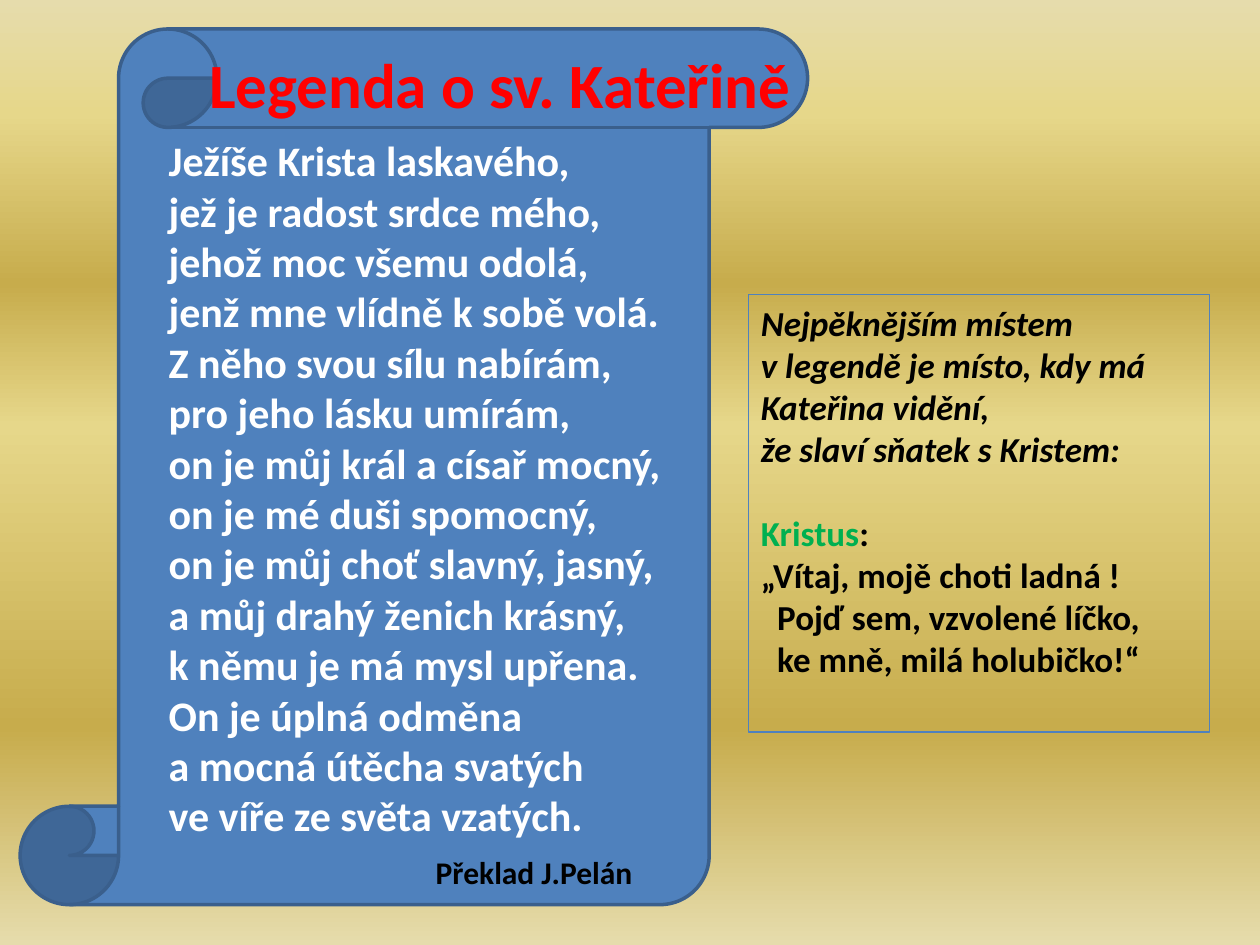
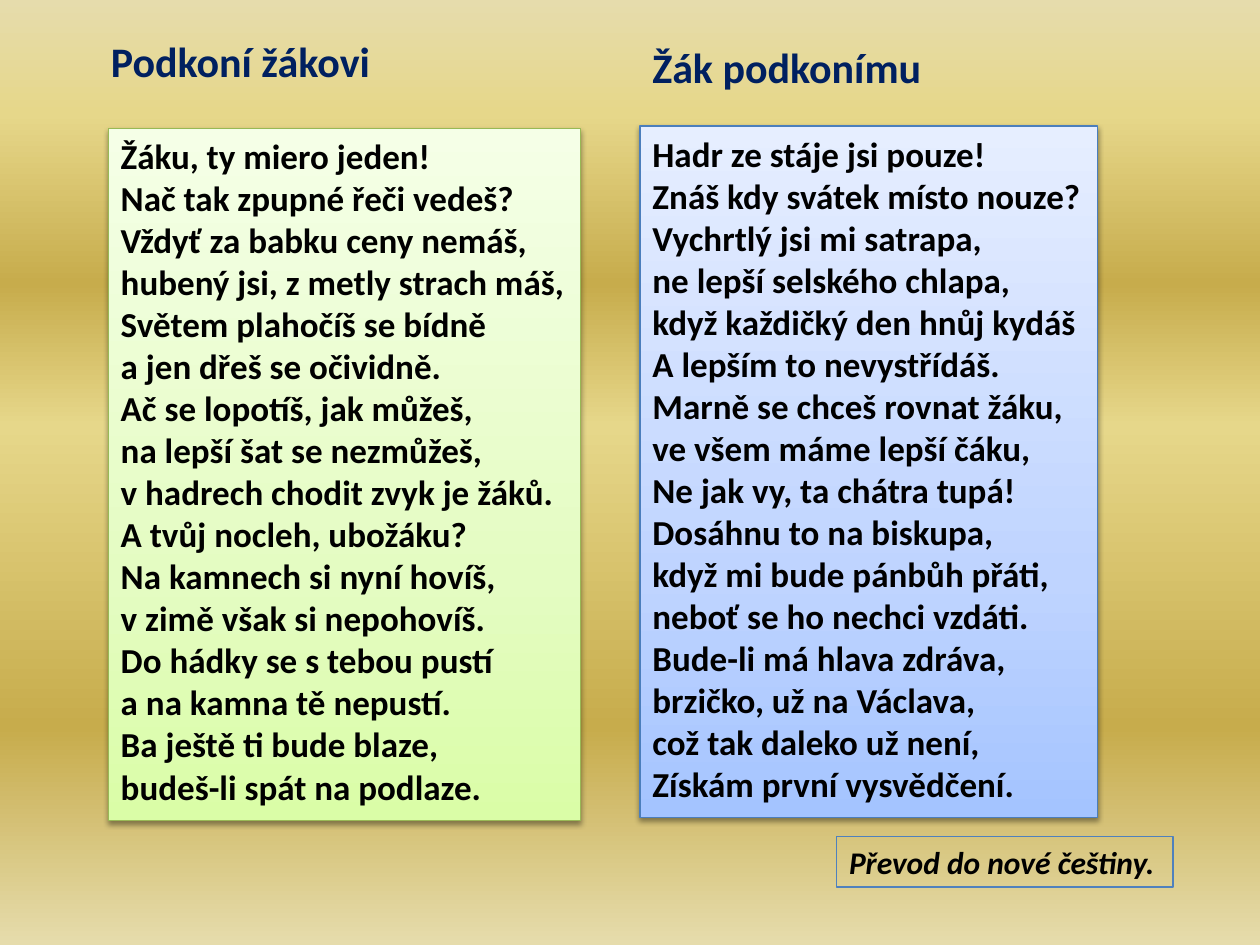
from lxml.etree import SubElement
from pptx import Presentation
from pptx.dml.color import RGBColor
from pptx.enum.shapes import MSO_SHAPE as Kind
from pptx.enum.text import MSO_ANCHOR as Anchor, MSO_AUTO_SIZE as Fit, PP_ALIGN as Align
from pptx.oxml.ns import qn
from pptx.util import Inches, Pt

# Content
LEGEND = "Legenda o sv. Kateřině"
PRAYER = [
    "Ježíše Krista laskavého,",
    "jež je radost srdce mého,",
    "jehož moc všemu odolá,",
    "jenž mne vlídně k sobě volá.",
    "Z něho svou sílu nabírám,",
    "pro jeho lásku umírám,",
    "on je můj král a císař mocný,",
    "on je mé duši spomocný,",
    "on je můj choť slavný, jasný,",
    "a můj drahý ženich krásný,",
    "k němu je má mysl upřena.",
    "On je úplná odměna",
    "a mocná útěcha svatých",
    "ve víře ze světa vzatých.",
]
INTRO = [
    "Nejpěknějším místem",
    "v legendě je místo, kdy má Kateřina vidění,",
    "že slaví sňatek s Kristem:",
]
SPEAKER = "Kristus"
SPEECH = [
    "„Vítaj, mojě choti ladná !",
    "Pojď sem, vzvolené líčko,",
    "ke mně, milá holubičko!“",
]
CREDIT = "Překlad J.Pelán"
GROOM = [
    "Žáku, ty miero jeden!",
    "Nač tak zpupné řeči vedeš?",
    "Vždyť za babku ceny nemáš,",
    "hubený jsi, z metly strach máš,",
    "Světem plahočíš se bídně",
    "a jen dřeš se očividně.",
    "Ač se lopotíš, jak můžeš,",
    "na lepší šat se nezmůžeš,",
    "v hadrech chodit zvyk je žáků.",
    "A tvůj nocleh, ubožáku?",
    "Na kamnech si nyní hovíš,",
    "v zimě však si nepohovíš.",
    "Do hádky se s tebou pustí",
    "a na kamna tě nepustí.",
    "Ba ještě ti bude blaze,",
    "budeš-li spát na podlaze.",
]
PUPIL = [
    "Hadr ze stáje jsi pouze!",
    "Znáš kdy svátek místo nouze?",
    "Vychrtlý jsi mi satrapa,",
    "ne lepší selského chlapa,",
    "když každičký den hnůj kydáš",
    "A lepším to nevystřídáš.",
    "Marně se chceš rovnat žáku,",
    "ve všem máme lepší čáku,",
    "Ne jak vy, ta chátra tupá!",
    "Dosáhnu to na biskupa,",
    "když mi bude pánbůh přáti,",
    "neboť se ho nechci vzdáti.",
    "Bude-li má hlava zdráva,",
    "brzičko, už na Václava,",
    "což tak daleko už není,",
    "Získám první vysvědčení.",
]
NOTE = "Převod do nové češtiny."

# Shared look
FONT = "Calibri"
BLACK, WHITE, RED, GREEN, NAVY = "000000", "FFFFFF", "FF0000", "00B050", "002060"
BLUE, EDGE = "4F81BD", "3A5F8C"
GOLD = [(0, "E6DCAC"), (12, "E6D78A"), (30, "C7AC4C"),
        (45, "E6D78A"), (77, "C7AC4C"), (100, "E6DCAC")]
LIME = [(0, "DAFDA7"), (35, "E4FCC2"), (100, "F5FFE7")]
SKY = [(0, "A4C4FF"), (35, "BFD4FF"), (100, "E6EEFF")]

# Verse cards: heading, its place, verses, card place, fill, line
CARDS = [
    ("Podkoní žákovi", (0.78, 0.23, 2.28, 0.5), GROOM, (0.86, 1.02, 3.75, 5.49), LIME, "98B955"),
    ("Žák podkonímu", (5.08, 0.28, 2.36, 0.5), PUPIL, (5.08, 1, 3.63, 5.49), SKY, "4B7EBC"),
]


def rgb(code):
    return RGBColor.from_string(code)


def blend(fill, node, stops, angle):
    """Give fill, held in the XML node, a linear gradient."""
    fill.gradient()
    fill.gradient_angle = angle
    group = next(node.iter(qn("a:gsLst")))
    for old in list(group):
        group.remove(old)
    for share, code in stops:
        stop = SubElement(group, qn("a:gs"), pos=str(share * 1000))
        SubElement(stop, qn("a:srgbClr"), val=code)


def shade(shape):
    """Drop a soft shadow straight below the shape."""
    effects = SubElement(shape.element.spPr, qn("a:effectLst"))
    drop = SubElement(effects, qn("a:outerShdw"), blurRad="40000", dist="20000",
                      dir="5400000", rotWithShape="0")
    color = SubElement(drop, qn("a:srgbClr"), val=BLACK)
    SubElement(color, qn("a:alpha"), val="38000")


def place(shape, spot):
    shape.left, shape.top, shape.width, shape.height = map(Inches, spot)


def style(par, size, color=BLACK, italic=False):
    par.alignment = Align.LEFT
    font = par.font
    font.name, font.size, font.bold, font.italic = FONT, Pt(size), True, italic
    font.color.rgb = rgb(color)


def write(shape, lines, size, color=BLACK, italic=False, wrap=False):
    frame = shape.text_frame
    frame.auto_size, frame.word_wrap = Fit.NONE, wrap
    frame.vertical_anchor = Anchor.TOP
    frame.text = "\n".join(lines)
    for par in frame.paragraphs:
        style(par, size, color, italic)


def box(slide, spot, lines, size, color=BLACK, line=None, **look):
    shape = slide.shapes.add_textbox(*map(Inches, spot))
    if line:
        shape.line.color.rgb = rgb(line)
        shape.line.width = Pt(0.75)
    write(shape, lines, size, color, **look)
    return shape


def title(slide, spot, text, size, color):
    shape = slide.shapes.title
    place(shape, spot)
    write(shape, [text], size, color)
    slide.shapes.element.append(shape.element)  # bring to front


def start(deck):
    slide = deck.slides.add_slide(deck.slide_layouts[5])
    blend(slide.background.fill, slide.element, GOLD, 270)
    return slide


def legend(deck):
    slide = start(deck)
    scroll = slide.shapes.add_shape(Kind.VERTICAL_SCROLL, *map(Inches, (0.16, 0.23, 6.25, 6.95)))
    scroll.shadow.inherit = False
    scroll.fill.solid()
    scroll.fill.fore_color.rgb = rgb(BLUE)
    scroll.line.color.rgb = rgb(EDGE)
    scroll.line.width = Pt(2)

    box(slide, (1.24, 1.02, 4.14, 6.16), PRAYER, 24, WHITE)
    quote = box(slide, (5.94, 2.34, 3.66, 3.47), INTRO, 20, line=BLUE, italic=True, wrap=True)
    frame = quote.text_frame
    head = frame.add_paragraph()
    head.space_before = Pt(24.4)
    style(head, 20)
    name = head.add_run()
    name.text = SPEAKER
    name.font.color.rgb = rgb(GREEN)
    head.add_run().text = ":"
    for row, text in enumerate(SPEECH):
        par = frame.add_paragraph()
        par.text = text
        if row:
            par._p.get_or_add_pPr().set("marL", str(Inches(0.13)))
        style(par, 20)
    title(slide, (1.56, 0.31, 4.98, 0.71), LEGEND, 36, RED)
    box(slide, (3.36, 6.72, 1.78, 0.4), [CREDIT], 18, line=BLUE)


def dispute(deck):
    slide = start(deck)
    for col, (head, top, verses, spot, stops, line) in enumerate(CARDS):
        card = box(slide, spot, verses, 20, line=line)
        blend(card.fill, card.element, stops, 90)
        shade(card)
        if col:
            box(slide, top, [head], 24, NAVY)
        else:
            title(slide, top, head, 24, NAVY)
    box(slide, (6.64, 6.64, 2.67, 0.4), [NOTE], 18, line=BLUE, italic=True)


def main():
    deck = Presentation()
    deck.slide_width, deck.slide_height = Inches(10), Inches(7.5)
    legend(deck)
    dispute(deck)
    deck.save("out.pptx")


if __name__ == "__main__":
    main()
